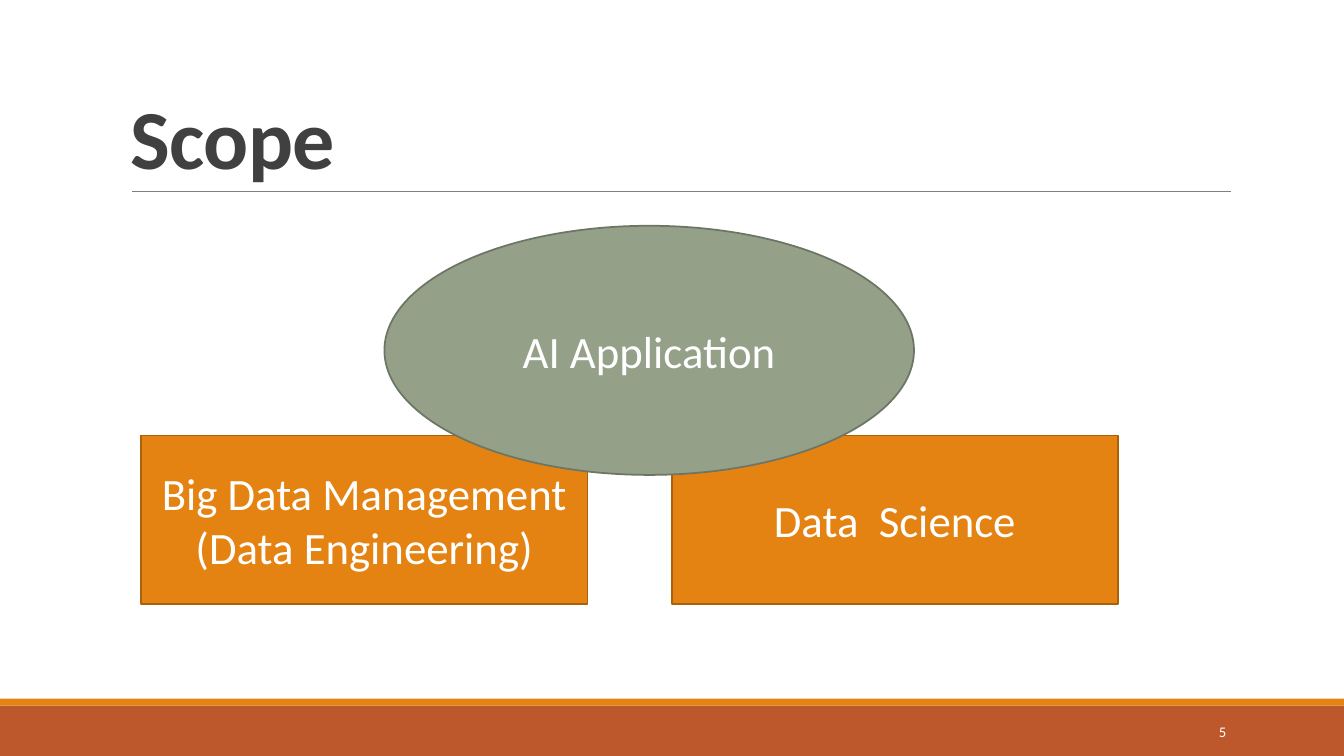
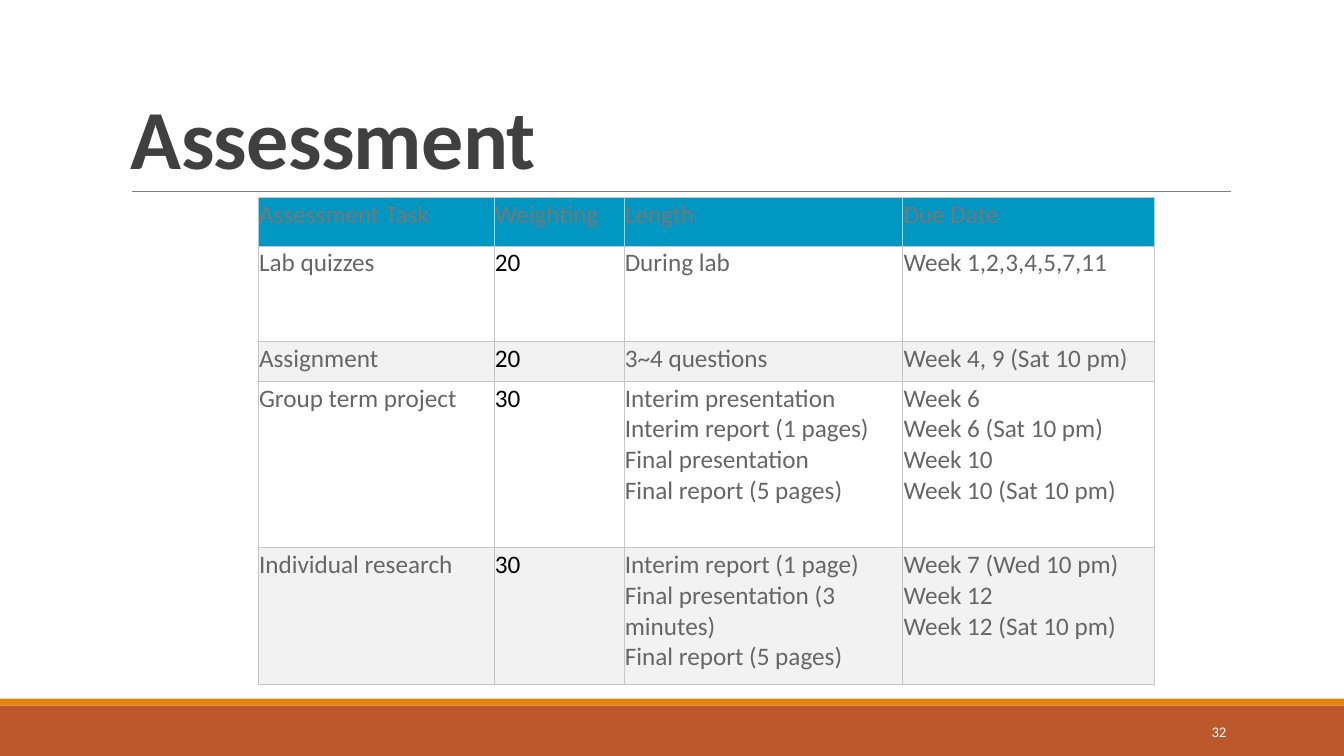
from dataclasses import dataclass

from lxml.etree import SubElement
from pptx import Presentation
from pptx.dml.color import RGBColor
from pptx.enum.shapes import MSO_CONNECTOR, MSO_SHAPE
from pptx.enum.text import MSO_ANCHOR, PP_ALIGN
from pptx.oxml import parse_xml
from pptx.oxml.ns import nsdecls, qn
from pptx.util import Inches, Pt


@dataclass(frozen=True)
class Theme:
    font: str = "Calibri"
    white: str = "FFFFFF"
    black: str = "000000"
    rust: str = "BD582C"
    orange: str = "E48312"
    brown: str = "A9610D"
    sage: str = "94A088"
    moss: str = "6D7665"
    ink: str = "404040"
    rule: str = "808080"
    blue: str = "0098C3"
    head: str = "777777"
    body: str = "666666"
    pale: str = "F2F2F2"
    grid: str = "C6C6C6"
    title_size: float = 60
    block_size: float = 32
    cell_size: float = 18
    page_size: float = 10.5


@dataclass(frozen=True)
class Box:
    x: float
    y: float
    w: float
    h: float

    def inner(self, x, y, w, h):
        """Return an inner box, given in percent of this one."""
        return Box(self.x + self.w * x / 100, self.y + self.h * y / 100,
                   self.w * w / 100, self.h * h / 100)

    def place(self):
        return [Inches(v) for v in (self.x, self.y, self.w, self.h)]


THEME = Theme()
PAGE = Box(0, 0, 13.33, 7.5)
COLS = (26.3, 14.5, 31.1, 28.1)
ROWS = (9.9, 19.7, 8.1, 34.2, 28.1)
TASKS = (
    ("Assessment Task", "Weighting", "Length", "Due Date"),
    ("Lab quizzes", "20", "During lab", "Week 1,2,3,4,5,7,11"),
    ("Assignment", "20", "3~4 questions", "Week 4, 9 (Sat 10 pm)"),
    ("Group term project", "30",
     "Interim presentation\nInterim report (1 pages)\n"
     "Final presentation\nFinal report (5 pages)",
     "Week 6\nWeek 6 (Sat 10 pm)\nWeek 10\nWeek 10 (Sat 10 pm)"),
    ("Individual research", "30",
     "Interim report (1 page)\nFinal presentation (3 minutes)\n"
     "Final report (5 pages)",
     "Week 7 (Wed 10 pm)\nWeek 12\nWeek 12 (Sat 10 pm)"),
)


def tint(code):
    return RGBColor.from_string(code)


def write(frame, text, size, color=THEME.white, bold=False,
          align=PP_ALIGN.LEFT, anchor=MSO_ANCHOR.MIDDLE, lead=None, track=None):
    """Fill a text frame, one paragraph per line of text."""
    frame.word_wrap = True
    frame.vertical_anchor = anchor
    for i, line in enumerate(text.split("\n")):
        para = frame.add_paragraph() if i else frame.paragraphs[0]
        para.alignment = align
        if lead:
            para.line_spacing = lead
        run = para.add_run()
        run.text = line
        font = run.font
        font.name, font.size, font.bold = THEME.font, Pt(size), bold
        font.color.rgb = tint(color)
        if track:
            run._r.get_or_add_rPr().set("spc", str(round(track * 100)))


def label(slide, box, text, size, **style):
    write(slide.shapes.add_textbox(*box.place()).text_frame, text, size, **style)


def block(slide, box, fill, edge=None, kind=MSO_SHAPE.RECTANGLE, text=""):
    shape = slide.shapes.add_shape(kind, *box.place())
    shape.shadow.inherit = False
    shape.fill.solid()
    shape.fill.fore_color.rgb = tint(fill)
    if edge:
        shape.line.color.rgb = tint(edge)
        shape.line.width = Pt(1.25)
    else:
        shape.line.fill.background()
    if text:
        write(shape.text_frame, text, THEME.block_size, align=PP_ALIGN.CENTER)


def rule(slide, box):
    x, y, w, _ = box.place()
    line = slide.shapes.add_connector(MSO_CONNECTOR.STRAIGHT, x, y, x + w, y)
    line.line.color.rgb = tint(THEME.rule)
    line.line.width = Pt(0.5)
    SubElement(line._element.spPr, qn("a:effectLst"))


def base(deck, box, title, page):
    """Add a slide with the shared bands, rule, title and page number."""
    slide = deck.slides.add_slide(deck.slide_layouts[6])
    block(slide, box.inner(0, 93.33, 100, 6.67), THEME.rust)
    block(slide, box.inner(0, 92.4, 100, 0.93), THEME.orange)
    rule(slide, box.inner(9.83, 25.33, 81.77, 0))
    label(slide, box.inner(9, 4.13, 82.5, 21.2), title, THEME.title_size,
          color=THEME.ink, bold=True, anchor=MSO_ANCHOR.BOTTOM,
          lead=0.85, track=-0.5)
    label(slide, box.inner(81.25, 94.13, 10.73, 5.33), page, THEME.page_size,
          align=PP_ALIGN.RIGHT)
    return slide


def scope(slide, box):
    """Two base blocks with an ellipse resting on both."""
    width = 45.7
    names = ("Big Data Management\n(Data Engineering)", "Data  Science")
    for i, name in enumerate(names):
        block(slide, box.inner(i * (100 - width), 55.5, width, 44.5),
              THEME.orange, THEME.brown, text=name)
    block(slide, box.inner(24.9, 0, 54.2, 65.9), THEME.sage, THEME.moss,
          MSO_SHAPE.OVAL, "AI Application")


def edge(cell):
    """Draw thin lines on all four sides of a cell."""
    props = cell._tc.get_or_add_tcPr()
    for i, side in enumerate("LRTB"):
        props.insert(i, parse_xml(
            f'<a:ln{side} {nsdecls("a")} w="{Pt(0.38)}"><a:solidFill>'
            f'<a:srgbClr val="{THEME.grid}"/></a:solidFill></a:ln{side}>'))


def fill_cell(cell, text, row, col):
    cell.margin_left = cell.margin_right = Inches(0.01)
    cell.margin_top = cell.margin_bottom = Inches(0.02)
    if row == 0:
        back, color = THEME.blue, THEME.head
    else:
        back = THEME.white if row % 2 else THEME.pale
        color = THEME.black if col == 1 else THEME.body
    cell.fill.solid()
    cell.fill.fore_color.rgb = tint(back)
    write(cell.text_frame, text, THEME.cell_size, color=color, anchor=None)
    cell.vertical_anchor = MSO_ANCHOR.TOP
    edge(cell)


def tasks(slide, box):
    """Table of tasks, its columns and rows as shares of the box."""
    table = slide.shapes.add_table(len(ROWS), len(COLS), *box.place()).table
    for col, share in zip(table.columns, COLS):
        col.width = Inches(box.w * share / 100)
    for row, share in zip(table.rows, ROWS):
        row.height = Inches(box.h * share / 100)
    for r, texts in enumerate(TASKS):
        for c, text in enumerate(texts):
            fill_cell(table.cell(r, c), text, r, c)


def main():
    deck = Presentation()
    deck.slide_width, deck.slide_height = Inches(PAGE.w), Inches(PAGE.h)
    scope(base(deck, PAGE, "Scope", "5"), PAGE.inner(10.5, 29.87, 72.7, 50))
    tasks(base(deck, PAGE, "Assessment", "32"),
          PAGE.inner(19.2, 26.13, 66.7, 64.4))
    deck.save("out.pptx")


if __name__ == "__main__":
    main()
